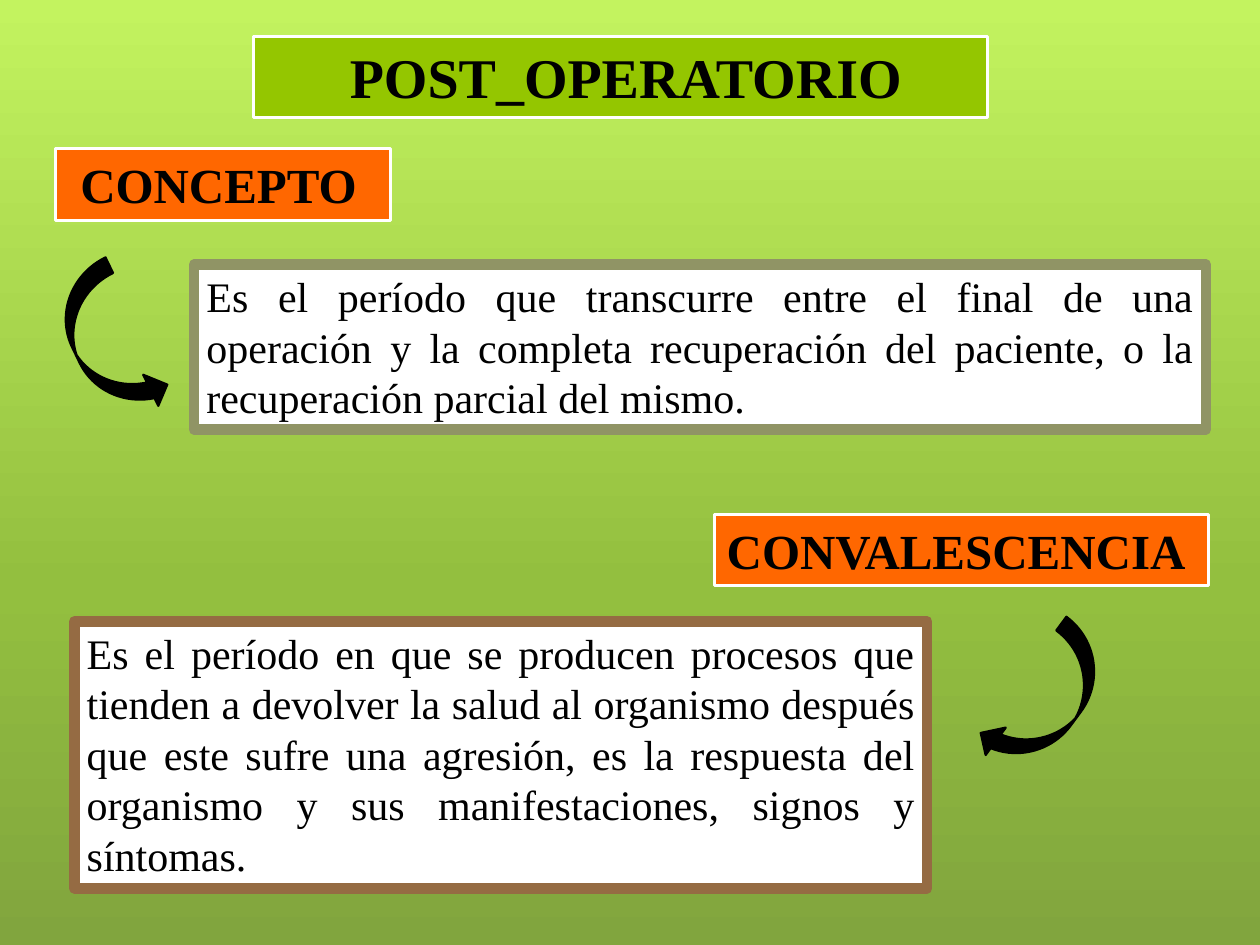
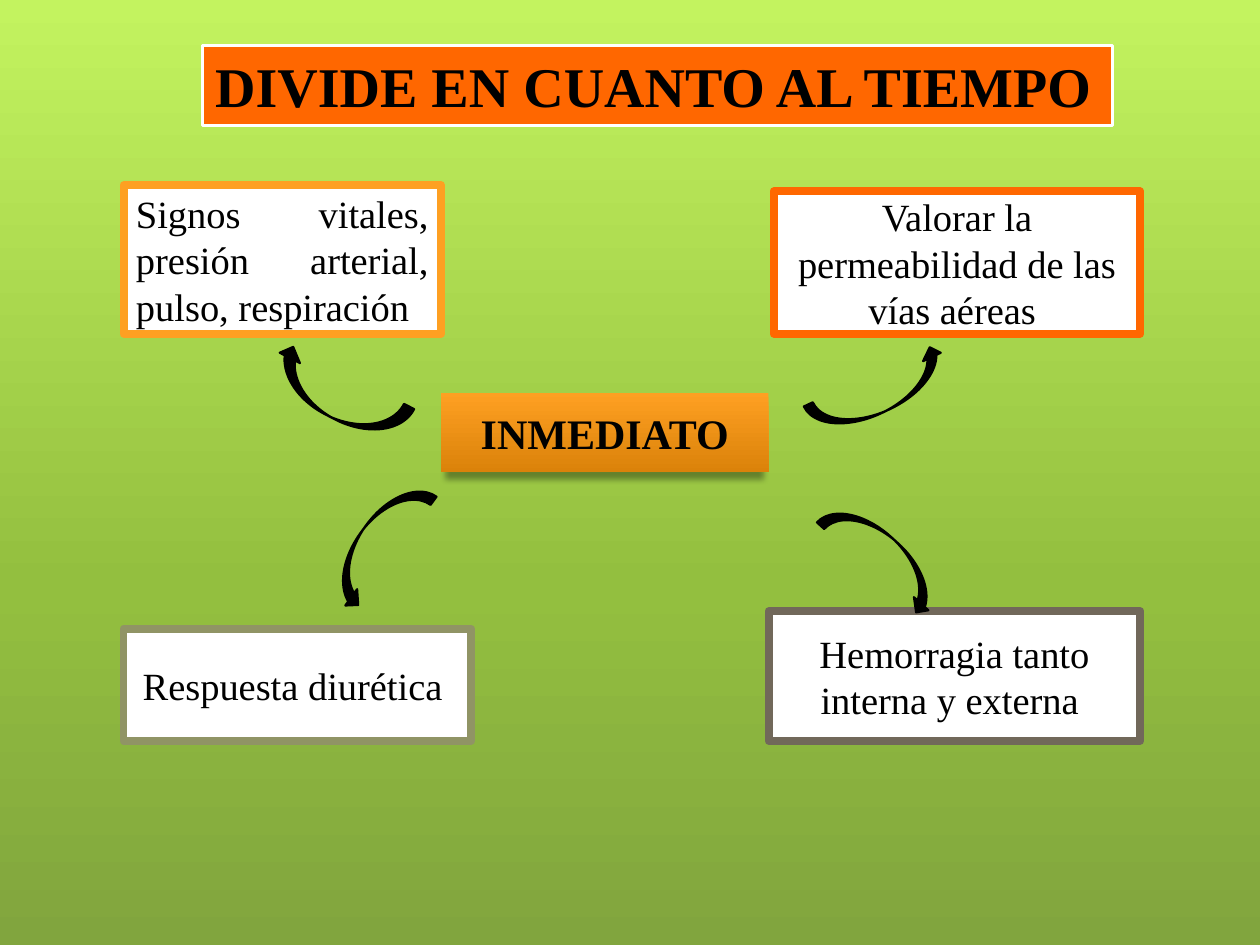
from pptx import Presentation
from pptx.dml.color import RGBColor as Rgb
from pptx.enum.shapes import MSO_SHAPE as Kind
from pptx.enum.text import MSO_ANCHOR as Anchor, PP_ALIGN as Align
from pptx.oxml import parse_xml
from pptx.oxml.ns import nsdecls
from pptx.util import Pt

HUES = {
    "black": "000000", "white": "FFFFFF", "lime": "94C600", "fire": "FF6700",
    "moss": "909465", "brown": "956B43", "amber": "FEA022", "rust": "DB820A",
    "stone": "71685A", "light": "C3F35F", "mid": "93BF3F", "dark": "81A53E",
}
FACE = {"name": "Times New Roman"}
HEAD = {"anchor": Anchor.TOP, "bold": True, "fill": "fire", "line": "white", "width": 1.75}
NOTE = {"anchor": Anchor.TOP, "bold": False, "fill": "white", "width": 6,
        "size": 24, "align": Align.JUSTIFY}
CARD = {"anchor": Anchor.MIDDLE, "bold": False, "fill": "white", "width": 4.5,
        "size": 22, "align": Align.CENTER}


def blend(fill, root, stops):
    fill.gradient()
    fill.gradient_angle = 270
    stack = root.xpath(".//a:gsLst")[0]
    for stop in list(stack):
        stack.remove(stop)
    for place, hue in stops:
        stack.append(parse_xml(
            f'<a:gs {nsdecls("a")} pos="{place * 1000}"><a:srgbClr val="{HUES[hue]}"/></a:gs>'))


def draw(slide, kind, spot, look):
    shape = slide.shapes.add_shape(kind, *map(Pt, spot))
    shape.shadow.inherit = False
    shape.fill.solid()
    shape.fill.fore_color.rgb = Rgb.from_string(HUES[look["fill"]])
    shape.line.color.rgb = Rgb.from_string(HUES[look["line"]])
    shape.line.width = Pt(look["width"])
    if "text" in look:
        frame = shape.text_frame
        frame.word_wrap = look.get("wrap", True)
        frame.vertical_anchor = look["anchor"]
        frame.margin_left = Pt(7.2 + look.get("inset", 0))
        para = frame.paragraphs[0]
        para.alignment = look.get("align", Align.LEFT)
        run = para.add_run()
        run.text = look["text"]
        for key, val in {**FACE, "size": Pt(look["size"]), "bold": look["bold"]}.items():
            setattr(run.font, key, val)
        run.font.color.rgb = Rgb.from_string(HUES["black"])
    return shape


deck = Presentation()
deck.slide_width, deck.slide_height = Pt(720), Pt(540)
base = deck.slide_master
blend(base.background.fill, base.element, [(0, "light"), (62, "mid"), (100, "dark")])
first, second = [deck.slides.add_slide(deck.slide_layouts[6]) for _ in range(2)]

boxes = [
    (first, (144.7, 20.9, 419.8, 46.1), HEAD,
     {"text": "POST_OPERATORIO", "size": 32, "fill": "lime", "inset": 48}),
    (first, (110.9, 151.2, 578.2, 94.3), NOTE,
     {"line": "moss", "text": "Es el período que transcurre entre el final de una operación y la "
      "completa recuperación del paciente, o la recuperación parcial del mismo. "}),
    (first, (31.7, 85, 191.5, 41), HEAD, {"text": "CONCEPTO", "size": 28, "inset": 7}),
    (first, (42.5, 355, 487.4, 152.6), NOTE,
     {"line": "brown", "text": "Es el período en que se producen procesos que tienden a devolver "
      "la salud al organismo después que este sufre una agresión, es la respuesta del organismo "
      "y sus manifestaciones, signos y síntomas."}),
    (first, (408.2, 293.8, 282.2, 41), HEAD, {"text": "CONVALESCENCIA", "size": 28}),
    (second, (115.9, 25.9, 519.8, 46.1), HEAD,
     {"text": "DIVIDE EN CUANTO AL TIEMPO", "size": 32, "wrap": False}),
    (second, (70.6, 105.8, 181.4, 85), CARD,
     {"line": "amber", "align": Align.JUSTIFY,
      "text": "Signos vitales, presión arterial, pulso, respiración"}),
    (second, (442.1, 109.4, 209.5, 81.4), CARD,
     {"line": "fire", "text": "Valorar la permeabilidad de las vías aéreas "}),
    (second, (439.2, 349.2, 212.4, 74.2), CARD,
     {"line": "stone", "text": "Hemorragia tanto interna y externa "}),
    (second, (70.6, 359.3, 198.7, 64.1), CARD,
     {"line": "moss", "text": "Respuesta diurética "}),
]
for slide, spot, style, extra in boxes:
    draw(slide, Kind.RECTANGLE, spot, {**style, **extra})

core = draw(second, Kind.RECTANGLE, (252, 224.6, 187.2, 45.4),
            {**CARD, "line": "amber", "bold": True, "size": 24, "text": "INMEDIATO"})
core.line.fill.background()
blend(core.fill, core.element, [(0, "amber"), (100, "rust")])
core.element.xpath(".//a:effectLst")[0].append(parse_xml(
    f'<a:outerShdw {nsdecls("a")} blurRad="{Pt(3.5)}" dist="{Pt(4)}" dir="5400000" '
    f'sx="97000" algn="t" rotWithShape="0"><a:srgbClr val="{HUES["black"]}">'
    '<a:alpha val="34000"/></a:srgbClr></a:outerShdw>'))

arrows = [
    (first, Kind.CURVED_RIGHT_ARROW, (42.5, 151.2, 39.6, 90.7), 334.1, None),
    (first, Kind.CURVED_LEFT_ARROW, (578.2, 355, 38.9, 92.2), 36.4, None),
    (second, Kind.CURVED_UP_ARROW, (460.1, 213.1, 85, 22.3), 334.8, None),
    (second, Kind.CURVED_UP_ARROW, (151.2, 213.1, 84.2, 25.9), 27.2, "flipH"),
    (second, Kind.CURVED_DOWN_ARROW, (175, 298.8, 82.1, 23), 125.9, "flipV"),
    (second, Kind.CURVED_DOWN_ARROW, (463.7, 306.7, 82.1, 22.3), 42.2, None),
]
for slide, kind, spot, turn, flip in arrows:
    arrow = draw(slide, kind, spot, {"fill": "black", "line": "black", "width": 1.25})
    arrow.rotation = turn
    if flip:
        arrow.element.spPr.xfrm.set(flip, "1")

deck.save("out.pptx")
